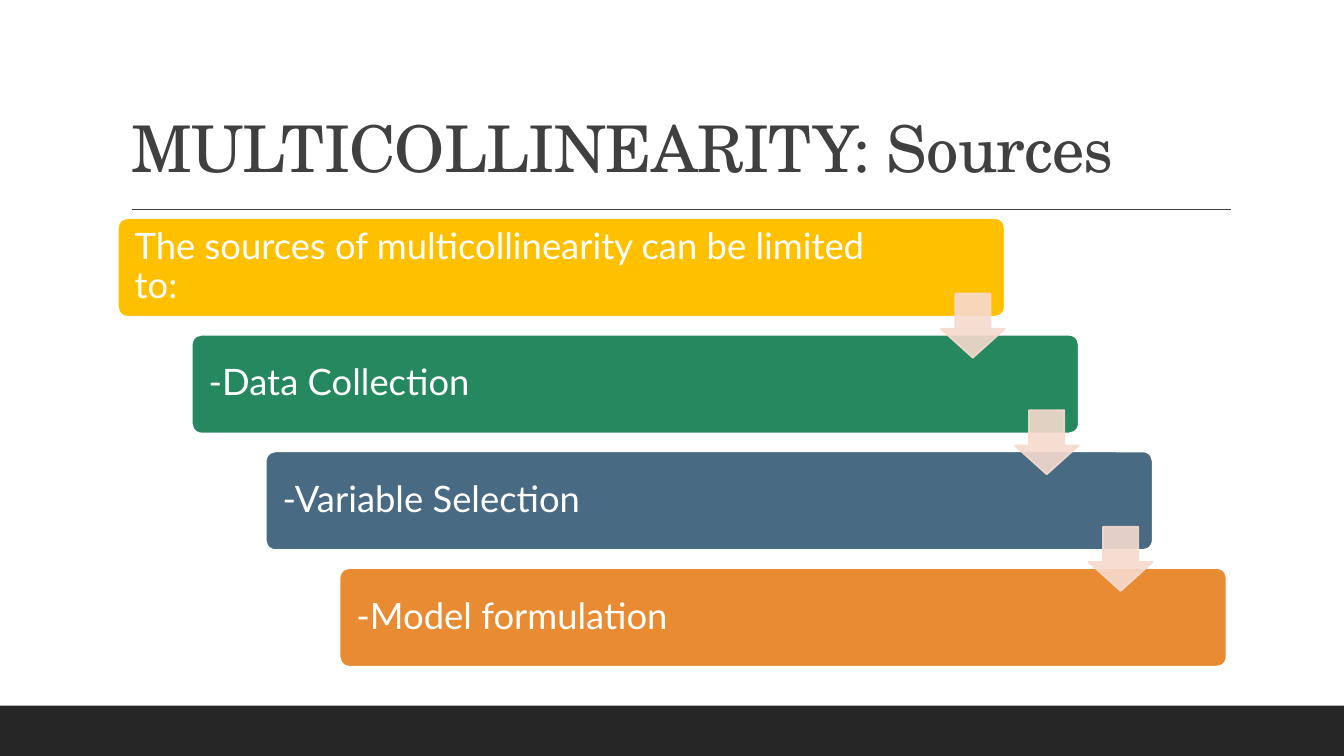
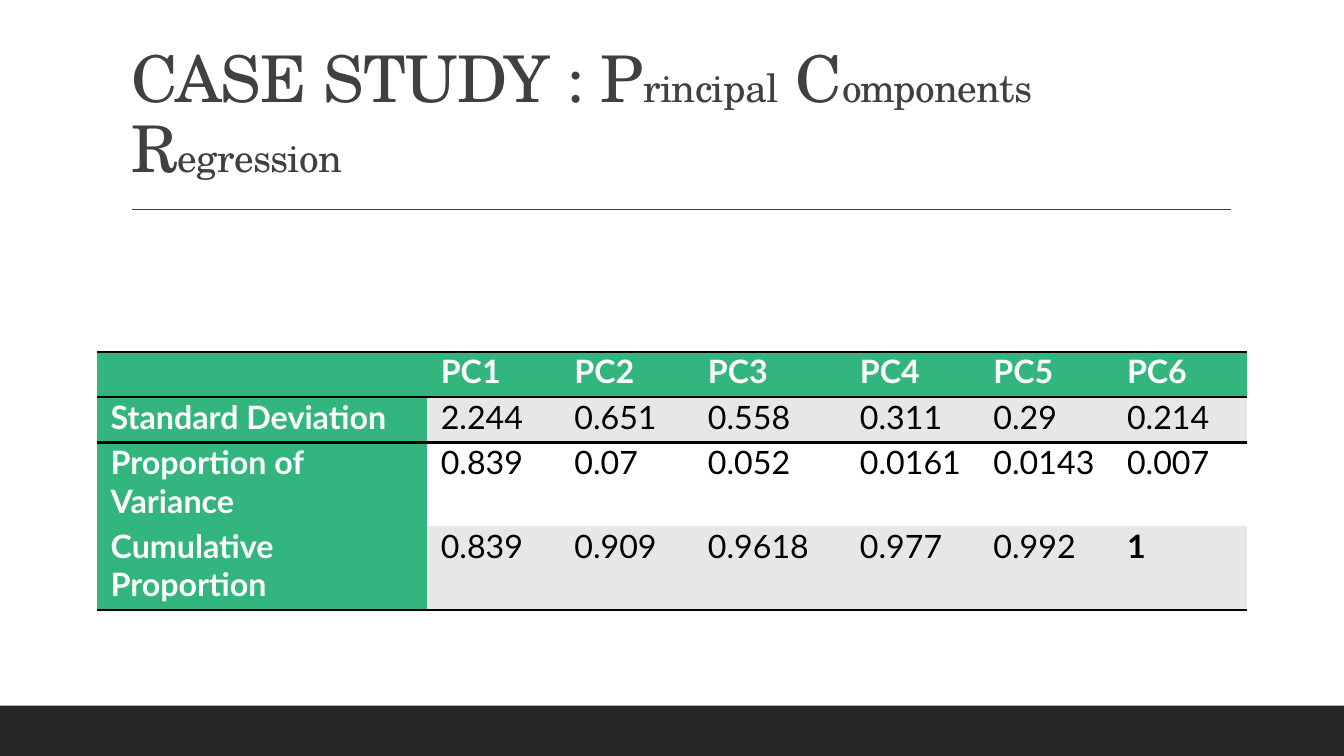
from collections import namedtuple
from dataclasses import dataclass

from lxml import etree
from pptx import Presentation
from pptx.dml.color import RGBColor
from pptx.enum import shapes, text
from pptx.oxml import ns
from pptx.util import Pt

Box = namedtuple("Box", "left top width height")


@dataclass(frozen=True)
class Theme:
    title_font: str = "TeX Gyre Schola"
    body_font: str = "Lato"
    title_size: float = 46
    small_title_size: float = 28
    step_size: float = 26
    table_size: float = 23
    ink: str = "404040"
    band: str = "262626"
    white: str = "FFFFFF"
    black: str = "000000"
    header: str = "33B67D"
    stripe: str = "E7E7E7"
    arrow: str = "F6DACE"
    steps: tuple = ("FFC000", "26885E", "486B83", "E88B33")


THEME = Theme()
SLIDE = Box(0, 0, 960, 540)
BAND = Box(0, 504, 960, 36)
TITLE = Box(86.4, 22.3, 792, 114.5)
RULE = Box(94.3, 149.5, 784.8, 0)
STAIRCASE = Box(84.2, 155.8, 792, 320.4)
TABLE = Box(69.1, 251.3, 821.4, 184.4)
NO_TABLE_STYLE = "{2D5ABB26-0587-4C30-8999-92F81FD0307C}"

STEPS = (
    "The sources of multicollinearity can be limited to:",
    "-Data Collection",
    "-Variable Selection",
    "-Model formulation",
)
COMPONENTS = (
    ("", "PC1", "PC2", "PC3", "PC4", "PC5", "PC6"),
    ("Standard Deviation", "2.244", "0.651", "0.558", "0.311", "0.29", "0.214"),
    ("Proportion of Variance", "0.839", "0.07", "0.052", "0.0161", "0.0143", "0.007"),
    ("Cumulative Proportion", "0.839", "0.909", "0.9618", "0.977", "0.992", "1"),
)


def points(box):
    return [Pt(value) for value in box]


def apply(target, **values):
    for name, value in values.items():
        setattr(target, name, value)


def style_font(font, name, size, color, bold=False):
    apply(font, name=name, size=Pt(size), bold=bold)
    font.color.rgb = RGBColor.from_string(color)


def add_filled(container, kind, box, fill, line=None, adjustments=()):
    shape = container.add_shape(kind, *points(box))
    shape.shadow.inherit = False
    shape.fill.solid()
    shape.fill.fore_color.rgb = RGBColor.from_string(fill)
    if line:
        shape.line.width = Pt(1.25)
        shape.line.color.rgb = RGBColor.from_string(line)
    else:
        shape.line.fill.background()
    for index, value in enumerate(adjustments):
        shape.adjustments[index] = value
    return shape


def add_frame(slide):
    add_filled(slide.shapes, shapes.MSO_SHAPE.RECTANGLE, BAND, THEME.band)
    left, top, width, height = RULE
    rule = slide.shapes.add_connector(
        shapes.MSO_CONNECTOR.STRAIGHT, *points((left, top, left + width, top + height))
    )
    rule.line.width = Pt(1)
    rule.line.color.rgb = RGBColor.from_string(THEME.ink)
    etree.SubElement(rule._element.spPr, ns.qn("a:effectLst"))


def fill_title(slide, box, pieces):
    title = slide.shapes.title
    apply(title, **dict(zip(Box._fields, points(box))))
    apply(
        title.text_frame,
        word_wrap=True,
        auto_size=text.MSO_AUTO_SIZE.NONE,
        vertical_anchor=text.MSO_ANCHOR.BOTTOM,
    )
    paragraph = title.text_frame.paragraphs[0]
    apply(paragraph, alignment=text.PP_ALIGN.LEFT, line_spacing=0.9)
    for words, size in pieces:
        run = paragraph.add_run()
        run.text = words
        style_font(run.font, THEME.title_font, size, THEME.ink)
        run._r.get_or_add_rPr().set("spc", "-50")


def add_titled_slide(presentation, pieces):
    slide = presentation.slides.add_slide(presentation.slide_layouts[5])
    add_frame(slide)
    fill_title(slide, TITLE, pieces)
    return slide


def add_step(container, box, words, color):
    card = add_filled(
        container, shapes.MSO_SHAPE.ROUNDED_RECTANGLE, box, color, THEME.white, (0.1,)
    )
    frame = card.text_frame
    apply(
        frame,
        word_wrap=True,
        vertical_anchor=text.MSO_ANCHOR.MIDDLE,
        margin_left=Pt(10),
        margin_right=Pt(88),
        margin_top=Pt(8),
        margin_bottom=Pt(8),
    )
    paragraph = frame.paragraphs[0]
    apply(paragraph, alignment=text.PP_ALIGN.LEFT, line_spacing=0.9)
    run = paragraph.add_run()
    run.text = words
    style_font(run.font, THEME.body_font, THEME.step_size, THEME.white)


def add_step_arrow(container, box):
    arrow = add_filled(
        container, shapes.MSO_SHAPE.DOWN_ARROW, box, THEME.arrow, THEME.arrow, (0.55, 0.45)
    )
    for color in arrow._element.spPr.iter(ns.qn("a:srgbClr")):
        etree.SubElement(color, ns.qn("a:alpha"), val="90000")


def add_staircase(slide, box, steps):
    container = slide.shapes.add_group_shape().shapes
    width, height = box.width * 0.8, box.height * 0.22
    gaps = len(steps) - 1
    step_x, step_y = (box.width - width) / gaps, (box.height - height) / gaps
    cards = [
        Box(box.left + index * step_x, box.top + index * step_y, width, height)
        for index in range(len(steps))
    ]
    for card, words, color in zip(cards, steps, THEME.steps):
        add_step(container, card, words, color)
    side = height * 0.65
    for card in cards[:-1]:
        left = card.left + card.width - side
        add_step_arrow(container, Box(left, card.top + height * 0.765, side, side))


def add_border(cell, edge):
    line = etree.SubElement(cell._tc.get_or_add_tcPr(), ns.qn(f"a:{edge}"), w=str(Pt(2)))
    fill = etree.SubElement(line, ns.qn("a:solidFill"))
    etree.SubElement(fill, ns.qn("a:srgbClr"), val=THEME.black)


def fill_cell(cell, words, fill, color, bold, edges):
    for edge in edges:
        add_border(cell, edge)
    cell.fill.solid()
    cell.fill.fore_color.rgb = RGBColor.from_string(fill)
    apply(
        cell,
        margin_left=Pt(10),
        margin_right=Pt(10),
        margin_top=0,
        margin_bottom=0,
        vertical_anchor=text.MSO_ANCHOR.TOP,
    )
    if words:
        run = cell.text_frame.paragraphs[0].add_run()
        run.text = words
        style_font(run.font, THEME.body_font, THEME.table_size, color, bold)


def add_component_table(slide, box, rows):
    table = slide.shapes.add_table(len(rows), len(rows[0]), *points(box)).table
    apply(table, first_row=False, horz_banding=False)
    table._tbl.tblPr.find(ns.qn("a:tableStyleId")).text = NO_TABLE_STYLE
    widths = (235.8, 95.4, 95.4, 108.6, 95.4, 95.4, 95.4)
    for column, width in zip(table.columns, widths):
        column.width = Pt(box.width * width / sum(widths))
    heights = (32.4, 32.4, 59.8, 59.8)
    for row, height in zip(table.rows, heights):
        row.height = Pt(box.height * height / sum(heights))
    last = len(rows) - 1
    for row_index, row in enumerate(rows):
        edges = {0: ("lnT", "lnB"), 1: ("lnT",), last: ("lnB",)}.get(row_index, ())
        stripe = THEME.stripe if row_index % 2 else THEME.white
        for column_index, words in enumerate(row):
            heading = row_index == 0 or column_index == 0
            total = row_index == last and column_index == len(row) - 1
            fill_cell(
                table.cell(row_index, column_index),
                words,
                THEME.header if heading else stripe,
                THEME.white if heading else THEME.black,
                heading or total,
                edges,
            )


def build_sources_slide(presentation):
    slide = add_titled_slide(
        presentation, [("MULTICOLLINEARITY: Sources", THEME.title_size)]
    )
    add_staircase(slide, STAIRCASE, STEPS)


def build_case_study_slide(presentation):
    large, small = THEME.title_size, THEME.small_title_size
    slide = add_titled_slide(
        presentation,
        [
            ("CASE STUDY : P", large),
            ("rincipal", small),
            (" C", large),
            ("omponents", small),
            (" R", large),
            ("egression", small),
        ],
    )
    add_component_table(slide, TABLE, COMPONENTS)


def main():
    presentation = Presentation()
    apply(presentation, slide_width=Pt(SLIDE.width), slide_height=Pt(SLIDE.height))
    build_sources_slide(presentation)
    build_case_study_slide(presentation)
    presentation.save("out.pptx")


if __name__ == "__main__":
    main()
